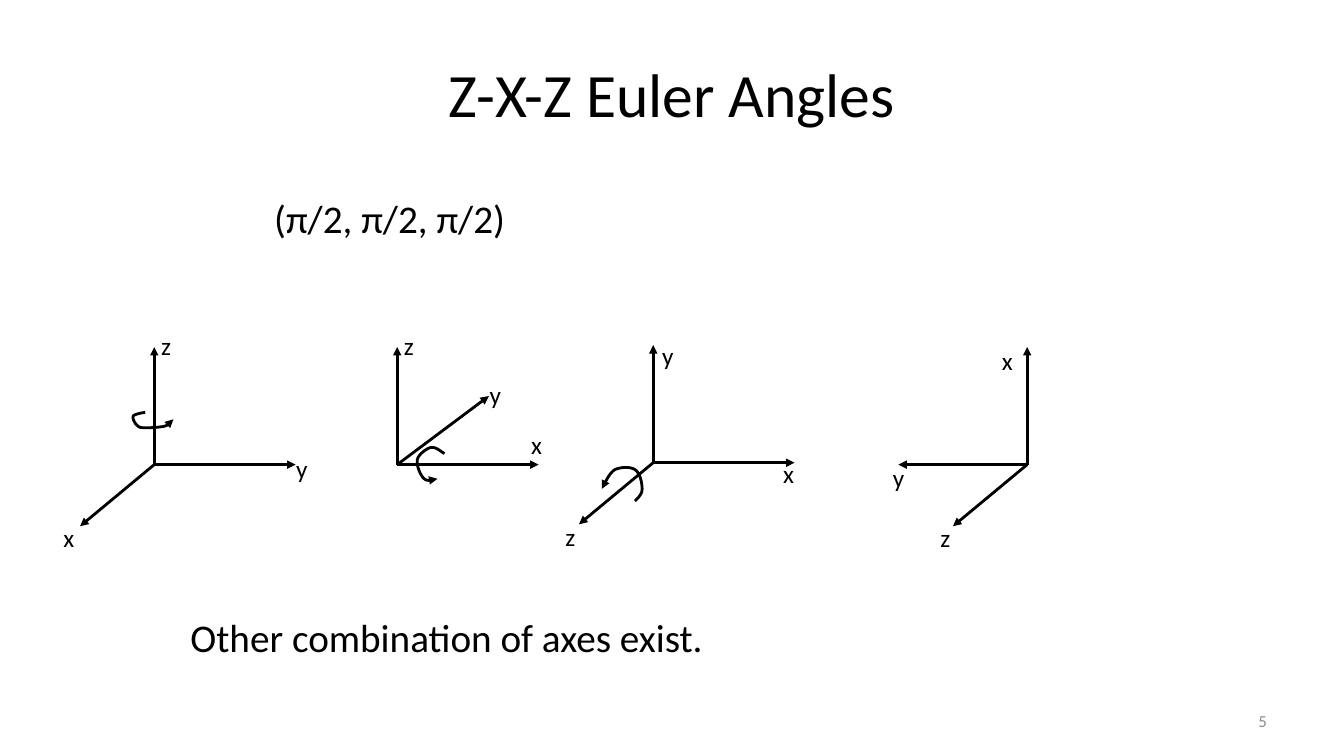
from dataclasses import dataclass

from lxml import etree
from pptx import Presentation
from pptx import util as u
from pptx.dml.color import RGBColor
from pptx.enum import shapes, text
from pptx.oxml import ns

ALIGN = text.PP_ALIGN
ANCHOR = text.MSO_ANCHOR


@dataclass(frozen=True)
class Theme:
    font: str = "Calibri"
    ink: str = "000000"
    muted: str = "8C8C8C"
    title: int = 44
    body: int = 28
    label: int = 18
    footer: int = 12
    stroke: int = 2


RIGHT, LEFT, UP = (101, 0), (-92, 0), (0, -84)
FORWARD, BACK = (-53, 44), (65.5, -49)
LABEL_WIDTHS = {"x": 22.3, "y": 23.8, "z": 21.6}

FRAMES = [
    {
        "origin": (110.2, 331.9),
        "axes": [("x", FORWARD, (-72, 37.4)), ("y", RIGHT, (94.3, -11.5)),
                 ("z", UP, (-2.2, -99.4))],
        "turn": [(-6.5, -37.4), (-10.1, -36.7), (-14.4, -36), (-15.1, -34.6),
                 (-15.8, -33.1), (-13.7, -28.1), (-10.1, -26.6),
                 (-6.5, -25.9), (3.6, -26.6), (7.2, -27.4),
                 (11.5, -28.8), (12.2, -31), (13.7, -32.4)],
    },
    {
        "origin": (283.7, 331.9),
        "axes": [("x", RIGHT, (88.6, -28.8)), ("y", BACK, (59, -64.8)),
                 ("z", UP, (-2.2, -99.4))],
        "turn": [(33.8, -7.9), (30.2, -10.1), (27.4, -13), (23.8, -12.2),
                 (20.9, -11.5), (15.1, -7.2), (14.4, -3.6),
                 (13.7, 0.7), (16.6, 7.9), (19.4, 10.1),
                 (21.6, 12.2), (25.2, 10.8), (28.8, 10.1)],
    },
    {
        "origin": (466.6, 330.5),
        "axes": [("x", RIGHT, (85.7, -6.5)), ("y", UP, (-0.7, -90.7)),
                 ("z", FORWARD, (-69.8, 38.2))],
        "turn": [(-13, 27.4), (-10.1, 24.5), (-7.9, 22.3), (-7.9, 18.7),
                 (-7.9, 14.4), (-9.4, 7.2), (-13, 5),
                 (-15.8, 2.9), (-23, 2.9), (-27.4, 5),
                 (-31, 7.2), (-33.8, 13), (-36.7, 18.7)],
    },
    {
        "origin": (733.7, 331.9),
        "axes": [("x", UP, (-25.2, -88.6)), ("y", LEFT, (-103, -5)),
                 ("z", FORWARD, (-69.1, 37.4))],
        "turn": [],
    },
]


def shift(origin, offset):
    return origin[0] + offset[0], origin[1] + offset[1]


def curve_points(controls, steps=8):
    points = [controls[0]]
    for first in range(0, len(controls) - 1, 3):
        bend = controls[first:first + 4]
        for step in range(1, steps + 1):
            t = step / steps
            weights = ((1 - t) ** 3, 3 * t * (1 - t) ** 2, 3 * t * t * (1 - t), t ** 3)
            points.append(tuple(sum(w * p[i] for w, p in zip(weights, bend)) for i in (0, 1)))
    return points


class Board:
    def __init__(self, slide, theme):
        self.slide = slide
        self.theme = theme

    def caption(self, words, left, top, width, height, size, color=None,
                align=ALIGN.LEFT, anchor=ANCHOR.TOP, wrap=True):
        box = self.slide.shapes.add_textbox(*map(u.Pt, (left, top, width, height)))
        frame = box.text_frame
        frame.word_wrap = wrap
        frame.vertical_anchor = anchor
        frame.text = words
        line = frame.paragraphs[0]
        line.alignment = align
        font = line.runs[0].font
        font.name = self.theme.font
        font.size = u.Pt(size)
        font.color.rgb = RGBColor.from_string(color or self.theme.ink)

    def style_arrow(self, arrow):
        arrow.line.color.rgb = RGBColor.from_string(self.theme.ink)
        arrow.line.width = u.Pt(self.theme.stroke)
        outline = arrow._element.spPr.find(ns.qn("a:ln"))
        etree.SubElement(outline, ns.qn("a:tailEnd"), type="triangle")

    def axis(self, start, end):
        arrow = self.slide.shapes.add_connector(
            shapes.MSO_CONNECTOR.STRAIGHT, *map(u.Pt, (*start, *end)))
        self.style_arrow(arrow)
        etree.SubElement(arrow._element.spPr, ns.qn("a:effectLst"))

    def turn(self, points):
        corners = [(u.Pt(x), u.Pt(y)) for x, y in points]
        builder = self.slide.shapes.build_freeform(*corners[0], scale=1.0)
        builder.add_line_segments(corners[1:], close=False)
        arrow = builder.convert_to_shape()
        arrow.fill.background()
        arrow.shadow.inherit = False
        self.style_arrow(arrow)

    def coordinate_frame(self, origin, axes, turn):
        for name, direction, label_offset in axes:
            self.axis(origin, shift(origin, direction))
            self.caption(name, *shift(origin, label_offset), LABEL_WIDTHS[name], 28.8,
                         self.theme.label, wrap=False)
        if turn:
            self.turn([shift(origin, point) for point in curve_points(turn)])


def main():
    deck = Presentation()
    deck.slide_width, deck.slide_height = u.Pt(960), u.Pt(540)
    theme = Theme()
    board = Board(deck.slides.add_slide(deck.slide_layouts[6]), theme)
    board.caption("Z-X-Z Euler Angles", 48, 21.6, 864, 90, theme.title,
                  align=ALIGN.CENTER, anchor=ANCHOR.MIDDLE)
    board.caption("(π/2, π/2, π/2)", 188.8, 135.4, 234, 41.2, theme.body)
    for frame in FRAMES:
        board.coordinate_frame(**frame)
    board.caption("Other combination of axes exist.", 129, 434.3, 384.5, 41.2,
                  theme.body, wrap=False)
    board.caption("5", 688, 500.5, 224, 28.8, theme.footer, theme.muted,
                  ALIGN.RIGHT, ANCHOR.MIDDLE)
    deck.save("out.pptx")


if __name__ == "__main__":
    main()
